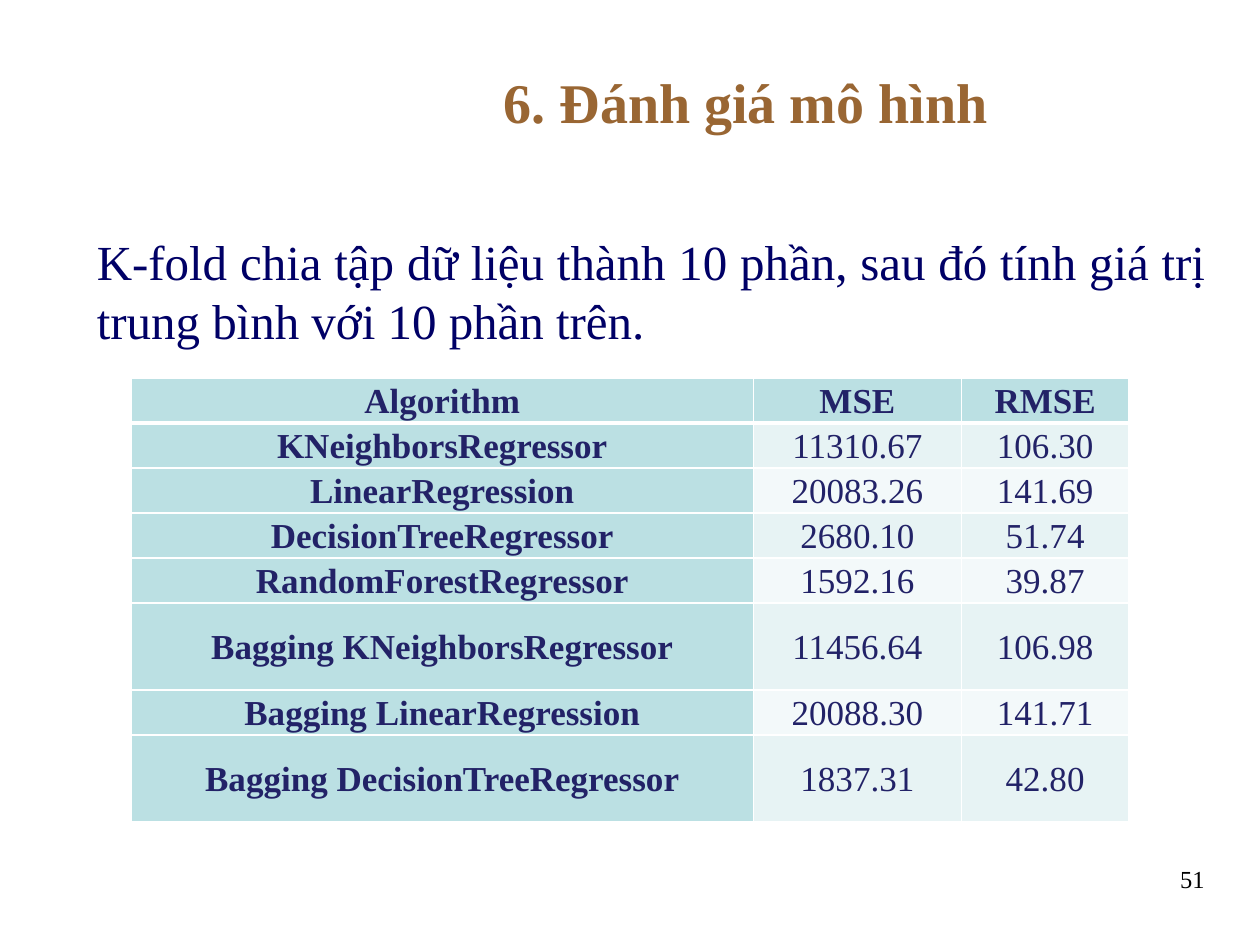
import pptx
import pptx.dml.color
import pptx.enum.text
import pptx.oxml
import pptx.oxml.ns
import pptx.util
from dataclasses import dataclass

Inches = pptx.util.Inches
Pt = pptx.util.Pt
ALIGN = pptx.enum.text.PP_ALIGN
ANCHOR = pptx.enum.text.MSO_ANCHOR


@dataclass(frozen=True)
class Theme:
    font: str = "Times New Roman"
    title: str = "996633"
    body: str = "000066"
    number: str = "000000"
    cell: str = "222267"
    border: str = "FFFFFF"
    head_fill: str = "BBE0E3"
    bands: tuple = ("E7F3F4", "F3F9FA")
    title_size: int = 32
    body_size: int = 28
    cell_size: int = 20
    number_size: int = 14


THEME = Theme()

ROWS = [
    ("Algorithm", "MSE", "RMSE"),
    ("KNeighborsRegressor", "11310.67", "106.30"),
    ("LinearRegression", "20083.26", "141.69"),
    ("DecisionTreeRegressor", "2680.10", "51.74"),
    ("RandomForestRegressor", "1592.16", "39.87"),
    ("Bagging KNeighborsRegressor", "11456.64", "106.98"),
    ("Bagging LinearRegression", "20088.30", "141.71"),
    ("Bagging DecisionTreeRegressor", "1837.31", "42.80"),
]
COL_WIDTHS = (4.94, 1.65, 1.33)
ROW_HEIGHT = 0.34
TALL_HEIGHT = 0.69
TALL_ROWS = (5, 7)


def add_run(p, text, size, color, bold=False):
    r = p.add_run()
    r.text = text
    r.font.name = THEME.font
    r.font.size = Pt(size)
    r.font.bold = bold
    r.font.color.rgb = pptx.dml.color.RGBColor.from_string(color)


def add_text(slide, box, text, size, color, align, anchor=ANCHOR.TOP, bold=False):
    tf = slide.shapes.add_textbox(*map(Inches, box)).text_frame
    tf.word_wrap = True
    tf.vertical_anchor = anchor
    p = tf.paragraphs[0]
    p.alignment = align
    add_run(p, text, size, color, bold)


def add_title(slide, box, text):
    add_text(slide, box, text, THEME.title_size, THEME.title,
             ALIGN.CENTER, ANCHOR.MIDDLE, True)


def add_body(slide, box, text):
    add_text(slide, box, text, THEME.body_size, THEME.body, ALIGN.JUSTIFY)


def add_number(slide, box, text):
    add_text(slide, box, text, THEME.number_size, THEME.number, ALIGN.RIGHT)


def set_borders(cell, widths):
    tc_pr = cell._tc.get_or_add_tcPr()
    for i, (side, width) in enumerate(widths.items()):
        tc_pr.insert(i, pptx.oxml.parse_xml(
            f'<a:{side} {pptx.oxml.ns.nsdecls("a")} w="{Pt(width)}"><a:solidFill>'
            f'<a:srgbClr val="{THEME.border}"/></a:solidFill></a:{side}>'))


def fill_cell(cell, text, row, col):
    is_head = row == 0 or col == 0
    fill = THEME.head_fill if is_head else THEME.bands[(row - 1) % 2]
    cell.fill.solid()
    cell.fill.fore_color.rgb = pptx.dml.color.RGBColor.from_string(fill)
    cell.vertical_anchor = ANCHOR.MIDDLE
    cell.margin_left = cell.margin_right = Inches(0.07)
    cell.margin_top = cell.margin_bottom = 0
    p = cell.text_frame.paragraphs[0]
    p.alignment = ALIGN.CENTER
    p.line_spacing = 1.07
    p.space_after = Pt(8)
    add_run(p, text, THEME.cell_size, THEME.cell, is_head)
    set_borders(cell, {"lnL": 1, "lnR": 1, "lnT": 3 if row == 1 else 1,
                       "lnB": 3 if row == 0 else 1})


def add_scores(slide, box):
    table = slide.shapes.add_table(len(ROWS), len(COL_WIDTHS), *map(Inches, box)).table
    for column, width in zip(table.columns, COL_WIDTHS):
        column.width = Inches(width)
    for i, values in enumerate(ROWS):
        table.rows[i].height = Inches(TALL_HEIGHT if i in TALL_ROWS else ROW_HEIGHT)
        for j, text in enumerate(values):
            fill_cell(table.cell(i, j), text, i, j)


def main():
    prs = pptx.Presentation()
    prs.slide_width, prs.slide_height = Inches(10), Inches(7.5)
    s = prs.slides.add_slide(prs.slide_layouts[6])
    add_title(s, (1.67, 0.29, 8.5, 1.03), "6. Đánh giá mô hình")
    add_body(s, (0.67, 1.79, 9, 5.13),
             "K-fold chia tập dữ liệu thành 10 phần, sau đó tính giá trị "
             "trung bình với 10 phần trên.")
    add_number(s, (7.33, 6.81, 2.33, 0.61), "51")
    add_scores(s, (1.04, 3, 7.92, 3.45))
    prs.save("out.pptx")


if __name__ == "__main__":
    main()
